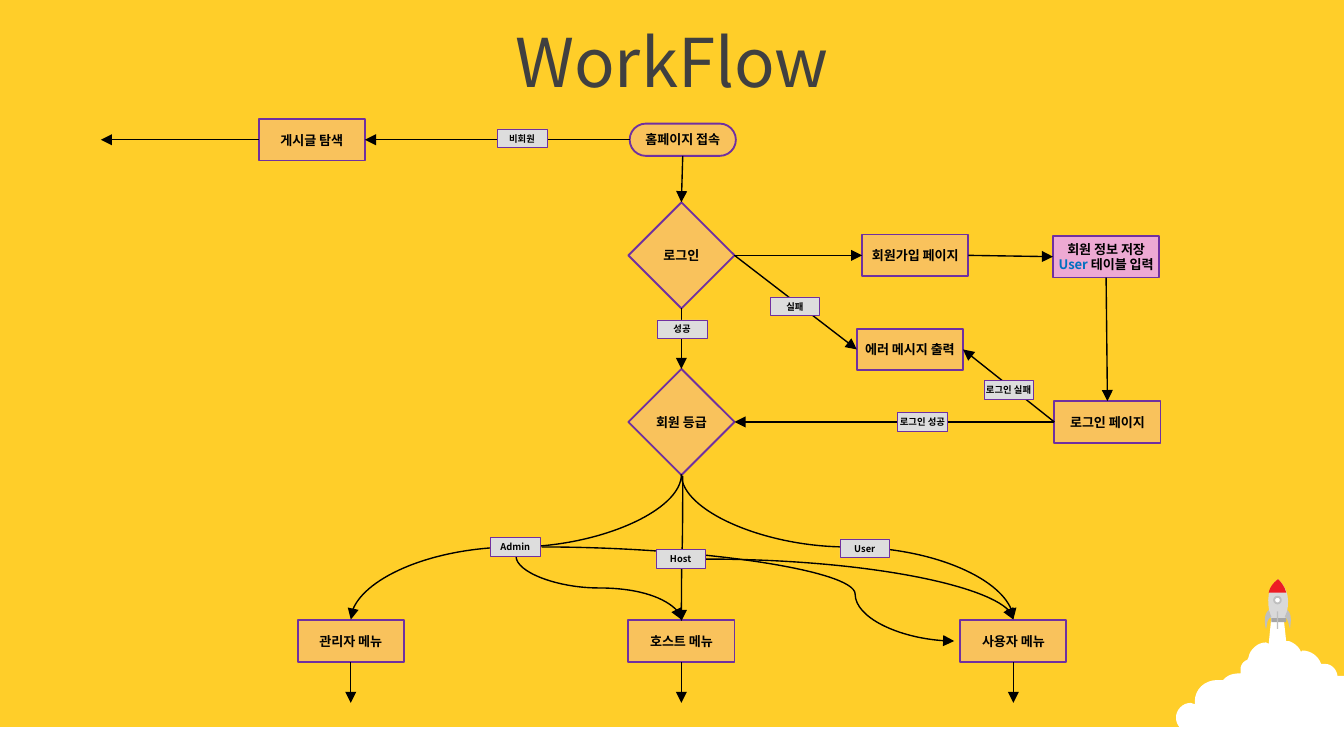
import lxml.etree
import pptx
import pptx.dml.color
import pptx.enum.shapes
import pptx.enum.text
import pptx.oxml.ns
import pptx.util

Inches = pptx.util.Inches
RGBColor = pptx.dml.color.RGBColor
SHAPE = pptx.enum.shapes.MSO_SHAPE
CONNECTOR = pptx.enum.shapes.MSO_CONNECTOR
qn = pptx.oxml.ns.qn

FONT = "Noto Sans CJK KR"
YELLOW = RGBColor(0xFF, 0xCE, 0x29)
WHITE = RGBColor(0xFF, 0xFF, 0xFF)
BLACK = RGBColor(0, 0, 0)
TITLE_GRAY = RGBColor(0x40, 0x40, 0x40)
PINK = RGBColor(0xED, 0xA9, 0xD3)
PURPLE = RGBColor(0x70, 0x30, 0xA0)
BLUE = RGBColor(0, 0x70, 0xC0)
LABEL_GRAY = RGBColor(0xDD, 0xDD, 0xDD)
BODY_GRAY = RGBColor(0xD9, 0xD9, 0xD9)
FIN_GRAY = RGBColor(0xBF, 0xBF, 0xBF)
BASE_GRAY = RGBColor(0xA6, 0xA6, 0xA6)
RED = RGBColor(0xED, 0x1C, 0x24)

SLIDE_WIDTH = 10
SLIDE_HEIGHT = SLIDE_WIDTH * 9 / 16
GROUND_TOP = 5.41
TOP, LEFT, BOTTOM, RIGHT = range(4)
NODE_WIDTH, NODE_HEIGHT = 0.79, 0.31
LABEL_WIDTH, LABEL_HEIGHT = 0.37, 0.14

SAVE_NODE = "회원 정보 저장\nUser 테이블 입력"
NODES = {
    "홈페이지 접속": (SHAPE.ROUNDED_RECTANGLE, 5.08, 1.04, 0.24),
    "로그인": (SHAPE.DIAMOND, 5.07, 1.9, NODE_WIDTH),
    "회원가입 페이지": (SHAPE.RECTANGLE, 6.81, 1.9, NODE_HEIGHT),
    SAVE_NODE: (SHAPE.RECTANGLE, 8.23, 1.91, NODE_HEIGHT),
    "로그인 페이지": (SHAPE.RECTANGLE, 8.24, 3.14, NODE_HEIGHT),
    "회원 등급": (SHAPE.DIAMOND, 5.07, 3.14, NODE_WIDTH),
    "에러 메시지 출력": (SHAPE.RECTANGLE, 6.77, 2.6, NODE_HEIGHT),
    "관리자 메뉴": (SHAPE.RECTANGLE, 2.61, 4.77, NODE_HEIGHT),
    "호스트 메뉴": (SHAPE.RECTANGLE, 5.07, 4.77, NODE_HEIGHT),
    "사용자 메뉴": (SHAPE.RECTANGLE, 7.54, 4.77, NODE_HEIGHT),
    "게시글 탐색": (SHAPE.RECTANGLE, 2.32, 1.04, NODE_HEIGHT),
}

LINKS = [
    ("로그인 페이지", LEFT, "에러 메시지 출력", RIGHT),
    ("로그인", RIGHT, "에러 메시지 출력", LEFT),
    ("홈페이지 접속", BOTTOM, "로그인", TOP),
    ("로그인", BOTTOM, "회원 등급", TOP),
    ("로그인", RIGHT, "회원가입 페이지", LEFT),
    ("회원가입 페이지", RIGHT, SAVE_NODE, LEFT),
    (SAVE_NODE, BOTTOM, "로그인 페이지", TOP),
    ("로그인 페이지", LEFT, "회원 등급", RIGHT),
    ("홈페이지 접속", LEFT, "게시글 탐색", RIGHT),
]
EXITS = [
    ("관리자 메뉴", BOTTOM, 2.61, 5.23),
    ("호스트 메뉴", BOTTOM, 5.07, 5.23),
    ("사용자 메뉴", BOTTOM, 7.54, 5.23),
    ("게시글 탐색", LEFT, 0.75, 1.04),
]
FALLING_CURVES = [
    (5.07, 3.53, 2.61, 4.61),
    (5.08, 3.54, 5.07, 4.62),
    (5.07, 3.53, 7.54, 4.61),
    (3.84, 4.14, 5.07, 4.61),
]
LABELS = [
    ("실패", 5.73, 2.21), ("성공", 4.89, 2.38),
    ("로그인 실패", 7.32, 2.83), ("로그인 성공", 6.68, 3.07),
    ("Admin", 3.65, 4), ("Host", 4.88, 4.09), ("User", 6.25, 4.01),
    ("비회원", 3.7, 0.96),
]

CLOUD = [
    (9.46, 4.59), (9.55, 4.59), (9.57, 4.77), (9.59, 4.77),
    (9.62, 4.78, 9.65, 4.8, 9.67, 4.83), (9.68, 4.85), (9.69, 4.84),
    (9.75, 4.84, 9.81, 4.88, 9.83, 4.94), (9.86, 4.94),
    (9.9, 4.94, 9.94, 4.97, 9.95, 5.02), (9.95, 5.03), (10, 5.03),
    (10, 5.6), (9.98, 5.6), (9.94, 5.6, 9.9, 5.59, 9.87, 5.57),
    (9.85, 5.57), (9.83, 5.58, 9.81, 5.59, 9.78, 5.59),
    (9.75, 5.59, 9.73, 5.57, 9.71, 5.55), (9.69, 5.55),
    (9.67, 5.58, 9.64, 5.59, 9.6, 5.59),
    (9.57, 5.59, 9.54, 5.58, 9.52, 5.56), (9.49, 5.56),
    (9.45, 5.59, 9.4, 5.61, 9.34, 5.61),
    (9.23, 5.61, 9.17, 5.56, 9.13, 5.51),
    (9.11, 5.53, 9.07, 5.54, 9.04, 5.53),
    (9, 5.52, 8.94, 5.5, 8.93, 5.45), (8.92, 5.44),
    (8.91, 5.45, 8.89, 5.45, 8.86, 5.45),
    (8.8, 5.45, 8.75, 5.4, 8.75, 5.34),
    (8.75, 5.28, 8.8, 5.23, 8.86, 5.23), (8.89, 5.24), (8.89, 5.22),
    (8.89, 5.13, 8.96, 5.06, 9.06, 5.06), (9.1, 5.06),
    (9.11, 5.05), (9.14, 5.02, 9.18, 5.01, 9.23, 5.01), (9.23, 4.98),
    (9.23, 4.95, 9.25, 4.92, 9.28, 4.91), (9.29, 4.89),
    (9.3, 4.83, 9.36, 4.78, 9.42, 4.78), (9.44, 4.79),
]
BODY = [(9.46, 4.62), (9.44, 4.53, 9.4, 4.4, 9.51, 4.31),
        (9.62, 4.41, 9.58, 4.54, 9.56, 4.62)]
NOSE = [(9.51, 4.31), (9.54, 4.34, 9.56, 4.37, 9.57, 4.41), (9.44, 4.41),
        (9.45, 4.37, 9.47, 4.34, 9.51, 4.31)]
LEFT_FIN = [(9.44, 4.54), (9.46, 4.59), (9.42, 4.61, 9.43, 4.66, 9.42, 4.68),
            (9.41, 4.65, 9.4, 4.57, 9.44, 4.54)]
RIGHT_FIN = [(9.58, 4.54), (9.56, 4.59), (9.59, 4.61, 9.59, 4.66, 9.6, 4.68),
             (9.6, 4.65, 9.62, 4.57, 9.58, 4.54)]


def style_shape(shape, fill, line=None, width=1):
    shape.shadow.inherit = False
    shape.fill.solid()
    shape.fill.fore_color.rgb = fill
    if line is None:
        shape.line.fill.background()
    else:
        shape.line.color.rgb = line
        shape.line.width = pptx.util.Pt(width)


def add_box(slide, kind, left, top, width, height, fill, line=None, line_width=1):
    shape = slide.shapes.add_shape(kind, *map(Inches, (left, top, width, height)))
    style_shape(shape, fill, line, line_width)
    return shape


def format_run(run, size, color, bold):
    run.font.size = pptx.util.Pt(size)
    run.font.bold = bold
    run.font.color.rgb = color
    run.font.name = FONT
    lxml.etree.SubElement(run._r.get_or_add_rPr(), qn("a:ea"), typeface=FONT)


def write_text(shape, text, size, color=BLACK, bold=True):
    frame = shape.text_frame
    frame.word_wrap = True
    frame.margin_left = frame.margin_right = 0
    frame.vertical_anchor = pptx.enum.text.MSO_ANCHOR.MIDDLE
    frame.text = text
    for paragraph in frame.paragraphs:
        paragraph.alignment = pptx.enum.text.PP_ALIGN.CENTER
        for run in paragraph.runs:
            format_run(run, size, color, bold)


def add_node(slide, text, kind, center_x, center_y, height):
    shape = add_box(slide, kind, center_x - NODE_WIDTH / 2, center_y - height / 2,
                    NODE_WIDTH, height, PINK, PURPLE)
    if kind == SHAPE.ROUNDED_RECTANGLE:
        shape.adjustments[0] = 0.5
    write_text(shape, text, 7)
    if text == SAVE_NODE:
        paragraph = shape.text_frame.paragraphs[1]
        paragraph.runs[0].text = "User "
        paragraph.runs[0].font.color.rgb = BLUE
        remainder = paragraph.add_run()
        remainder.text = "테이블 입력"
        format_run(remainder, 7, BLACK, True)
    else:
        color = shape._element.spPr.find(qn("a:solidFill"))[0]
        lxml.etree.SubElement(color, qn("a:alpha"), val="30000")
    return shape


def add_label(slide, text, left, top):
    shape = add_box(slide, SHAPE.RECTANGLE, left, top, LABEL_WIDTH, LABEL_HEIGHT,
                    LABEL_GRAY, PURPLE, 0.25)
    write_text(shape, text, 5)


def add_arrow(slide, kind, *ends):
    connector = slide.shapes.add_connector(kind, *map(Inches, ends))
    connector.line.color.rgb = BLACK
    connector.line.width = pptx.util.Pt(0.75)
    properties = connector._element.spPr
    lxml.etree.SubElement(properties.get_or_add_ln(), qn("a:tailEnd"), type="triangle")
    lxml.etree.SubElement(properties, qn("a:effectLst"))
    return connector


def add_falling_curve(slide, begin_x, begin_y, end_x, end_y):
    middle_x, middle_y = (begin_x + end_x) / 2, (begin_y + end_y) / 2
    half_width, half_height = (end_y - begin_y) / 2, abs(end_x - begin_x) / 2
    rightward = end_x > begin_x
    offset = half_width if rightward else -half_width
    connector = add_arrow(slide, CONNECTOR.CURVE, middle_x + offset, middle_y - half_height,
                          middle_x - offset, middle_y + half_height)
    angle = 270 if rightward else 90
    connector._element.spPr.find(qn("a:xfrm")).set("rot", str(angle * 60000))


def add_side_curves(slide):
    admin_curve = add_arrow(slide, CONNECTOR.CURVE, 4.03, 4.07, 7.1, 4.77)
    geometry = admin_curve._element.spPr.find(qn("a:prstGeom"))
    lxml.etree.SubElement(geometry.find(qn("a:avLst")), qn("a:gd"),
                          name="adj1", fmla="val 76000")
    host_curve = add_arrow(slide, CONNECTOR.CURVE, 5.25, 4.16, 7.54, 4.61)
    host_curve._element.spPr.find(qn("a:prstGeom")).set("prst", "curvedConnector2")


def add_outline(slide, segments, fill, steps=8):
    points = [segments[0]]
    for segment in segments[1:]:
        if len(segment) == 2:
            points.append(segment)
            continue
        controls = (points[-1], segment[:2], segment[2:4], segment[4:])
        for step in range(1, steps + 1):
            t = step / steps
            weights = ((1 - t) ** 3, 3 * t * (1 - t) ** 2, 3 * t * t * (1 - t), t ** 3)
            points.append(tuple(sum(weight * control[axis] for weight, control
                                    in zip(weights, controls)) for axis in (0, 1)))
    vertices = [(Inches(x), Inches(y)) for x, y in points]
    builder = slide.shapes.build_freeform(*vertices[0])
    builder.add_line_segments(vertices[1:], close=True)
    style_shape(builder.convert_to_shape(), fill)


def add_rocket(slide):
    add_box(slide, SHAPE.RECTANGLE, 0, GROUND_TOP, SLIDE_WIDTH,
            SLIDE_HEIGHT - GROUND_TOP, WHITE)
    add_outline(slide, CLOUD, WHITE)
    add_outline(slide, BODY, BODY_GRAY)
    add_box(slide, SHAPE.RECTANGLE, 9.46, 4.6, 0.11, 0.03, BASE_GRAY)
    add_outline(slide, NOSE, RED)
    add_box(slide, SHAPE.OVAL, 9.48, 4.44, 0.05, 0.05, WHITE, FIN_GRAY)
    add_box(slide, SHAPE.RECTANGLE, 9.5, 4.55, 0.01, 0.13, FIN_GRAY)
    for fin in (LEFT_FIN, RIGHT_FIN):
        add_outline(slide, fin, FIN_GRAY)


def main():
    presentation = pptx.Presentation()
    presentation.slide_width = Inches(SLIDE_WIDTH)
    presentation.slide_height = Inches(SLIDE_HEIGHT)
    slide = presentation.slides.add_slide(presentation.slide_layouts[6])
    slide.background.fill.solid()
    slide.background.fill.fore_color.rgb = YELLOW
    add_rocket(slide)
    title = slide.shapes.add_textbox(*map(Inches, (0, 0.14, SLIDE_WIDTH, 0.63)))
    write_text(title, "WorkFlow", 36, TITLE_GRAY, False)
    add_side_curves(slide)
    nodes = {text: add_node(slide, text, *place) for text, place in NODES.items()}
    for source, source_side, target, target_side in LINKS:
        arrow = add_arrow(slide, CONNECTOR.STRAIGHT, 0, 0, 1, 1)
        arrow.begin_connect(nodes[source], source_side)
        arrow.end_connect(nodes[target], target_side)
    for source, side, end_x, end_y in EXITS:
        arrow = add_arrow(slide, CONNECTOR.STRAIGHT, end_x, end_y, end_x, end_y)
        arrow.begin_connect(nodes[source], side)
    for ends in FALLING_CURVES:
        add_falling_curve(slide, *ends)
    for label in LABELS:
        add_label(slide, *label)
    presentation.save("out.pptx")


if __name__ == "__main__":
    main()
